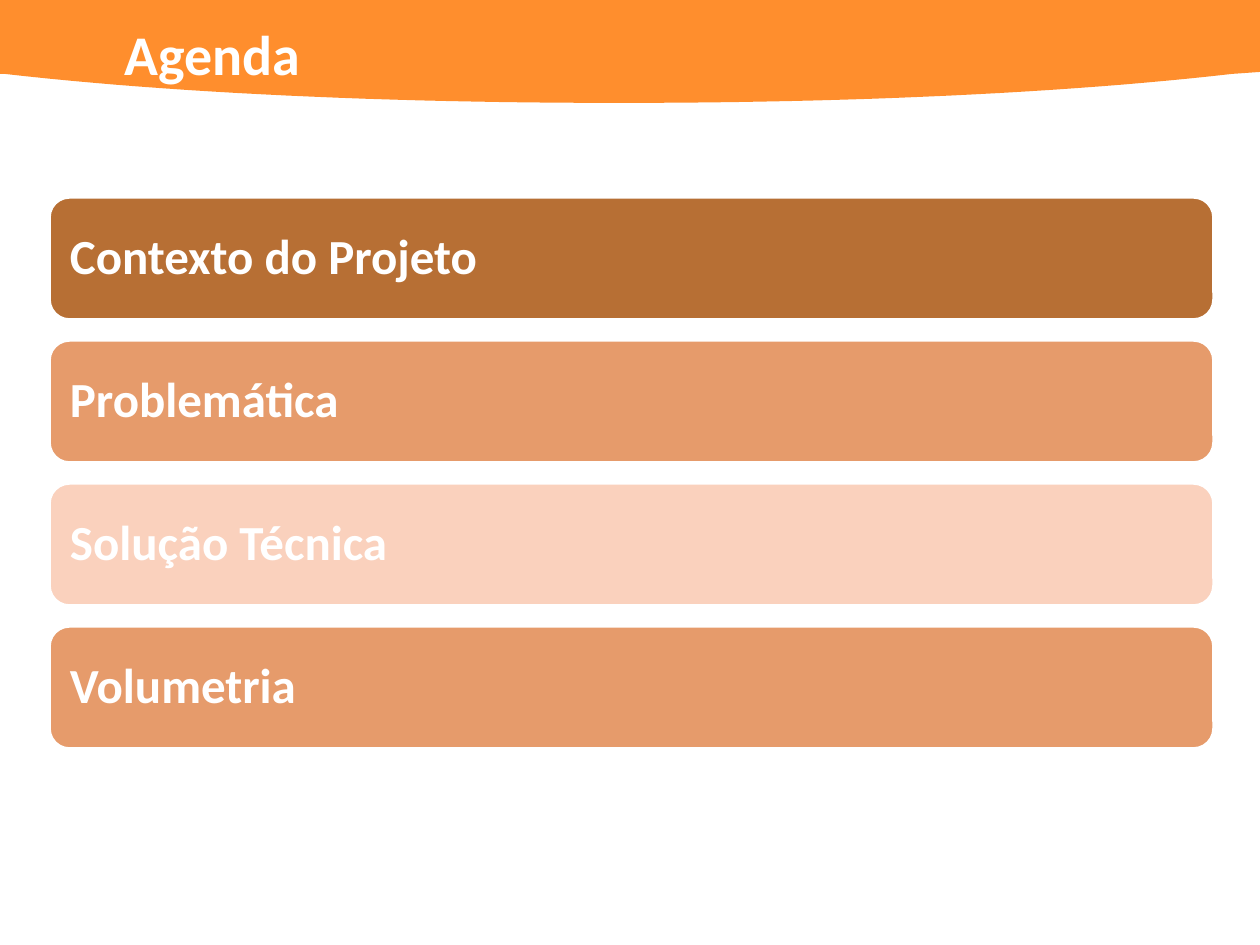
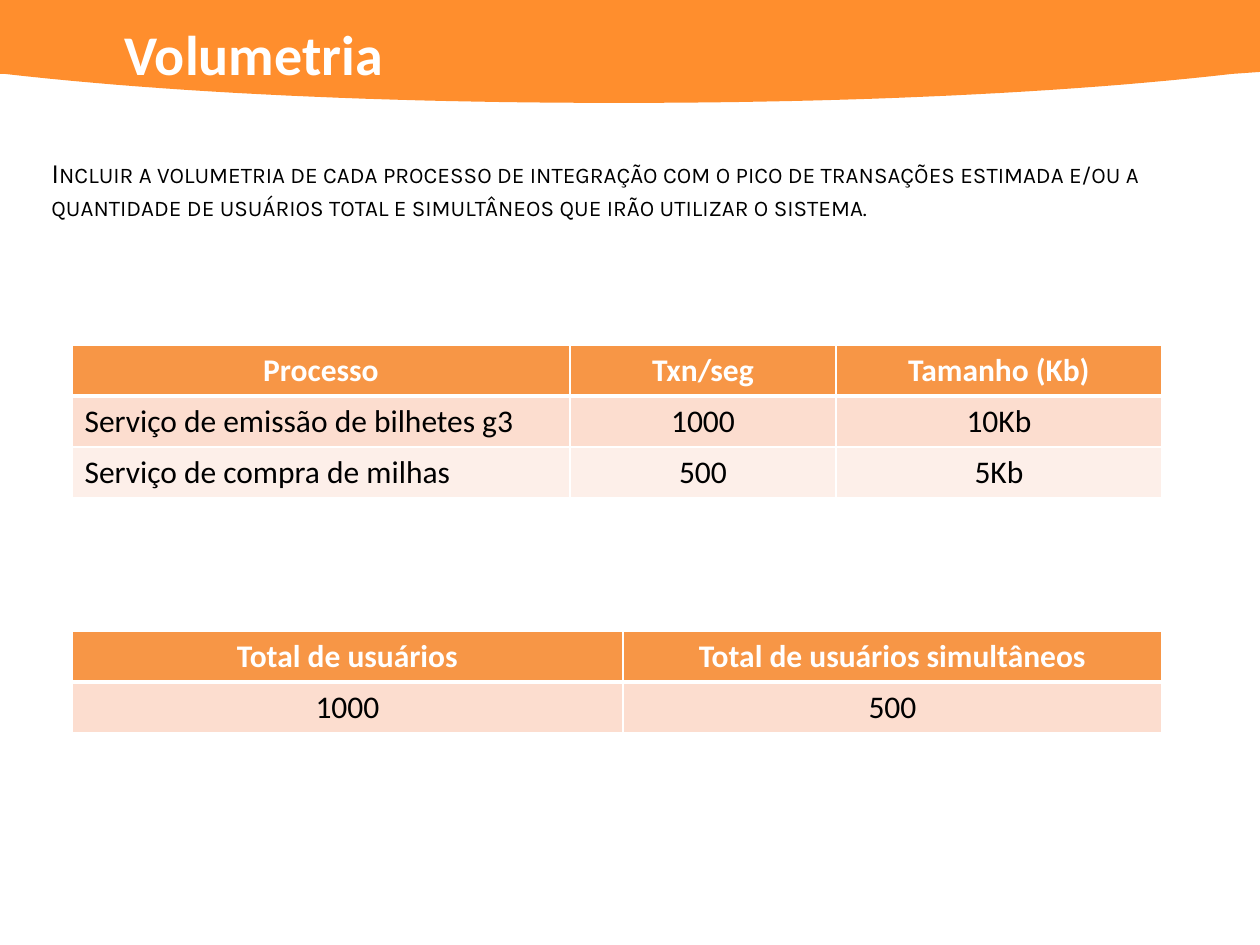
from lxml.etree import SubElement
from pptx import Presentation
from pptx.dml.color import RGBColor
from pptx.enum.shapes import MSO_SHAPE
from pptx.enum.text import MSO_ANCHOR, PP_ALIGN
from pptx.oxml.ns import qn
from pptx.util import Emu, Pt

COLORS = {
    "band": "FF8E2D",
    "dark": "B76F34",
    "medium": "E69B6B",
    "light": "FAD1BD",
    "header": "F79646",
    "odd_row": "FCDDCF",
    "even_row": "FDEFE9",
    "white": "FFFFFF",
    "black": "000000",
}
EMU_PER_PX = 914400 / 126


def px(length):
    return Emu(round(length * EMU_PER_PX))


def add_text(paragraph, text, size, color, bold=False, font="Calibri"):
    run = paragraph.add_run()
    run.text = text
    run.font.name = font
    run.font.size = Pt(size)
    run.font.bold = bold
    run.font.color.rgb = RGBColor.from_string(COLORS[color])
    return run


presentation = Presentation()
presentation.slide_width = px(1260)
presentation.slide_height = px(945)

band_curves = [
    [(1232, 74), (1066, 93), (852, 103), (619, 103)],
    [(619, 103), (386, 103), (171, 93), (5, 74)],
]
band_points = [(1260, 0), (1260, 72)]
for curve in band_curves:
    for step in range(25):
        t = step / 24
        weights = [(1 - t) ** 3, 3 * t * (1 - t) ** 2, 3 * t**2 * (1 - t), t**3]
        band_points.append(
            tuple(sum(w * point[axis] for w, point in zip(weights, curve)) for axis in (0, 1))
        )
band_points.append((0, 74))

slides = []
for title in ["Agenda", "Volumetria"]:
    slide = presentation.slides.add_slide(presentation.slide_layouts[6])
    slides.append(slide)
    builder = slide.shapes.build_freeform(0, 0)
    builder.add_line_segments([(px(x), px(y)) for x, y in band_points], close=True)
    band = builder.convert_to_shape()
    band.shadow.inherit = False
    band.fill.solid()
    band.fill.fore_color.rgb = RGBColor.from_string(COLORS["band"])
    band.line.fill.background()
    title_box = slide.shapes.add_textbox(px(112), px(13), px(680), px(81))
    title_box.text_frame.word_wrap = True
    add_text(title_box.text_frame.paragraphs[0], title, 32, "white", bold=True)

agenda_slide, volume_slide = slides

agenda = [
    ("Contexto do Projeto", "dark"),
    ("Problemática", "medium"),
    ("Solução Técnica", "light"),
    ("Volumetria", "medium"),
]
for index, (topic, color) in enumerate(agenda):
    bar = agenda_slide.shapes.add_shape(
        MSO_SHAPE.ROUNDED_RECTANGLE, px(49), px(197 + 143 * index), px(1165), px(123)
    )
    bar.shadow.inherit = False
    bar.fill.solid()
    bar.fill.fore_color.rgb = RGBColor.from_string(COLORS[color])
    bar.line.color.rgb = RGBColor.from_string(COLORS["white"])
    bar.line.width = Pt(2)
    frame = bar.text_frame
    frame.word_wrap = True
    frame.vertical_anchor = MSO_ANCHOR.MIDDLE
    frame.margin_left = frame.margin_right = px(15)
    paragraph = frame.paragraphs[0]
    paragraph.alignment = PP_ALIGN.LEFT
    paragraph.line_spacing = 0.9
    add_text(paragraph, topic, 28, "white", bold=True)

instruction_box = volume_slide.shapes.add_textbox(px(39), px(149), px(1187), px(107))
instruction_box.text_frame.word_wrap = True
instruction = add_text(
    instruction_box.text_frame.paragraphs[0],
    "Incluir a volumetria de cada processo de integração com o pico de transações estimada "
    "e/ou a quantidade de usuários total e simultâneos que irão utilizar o sistema.",
    16,
    "black",
    font="Karla",
)
instruction.font._element.set("cap", "small")

tables = [
    (345, [498, 266, 326], [
        ["Processo", "Txn/seg", "Tamanho (Kb)"],
        ["Serviço de emissão de bilhetes g3", "1000", "10Kb"],
        ["Serviço de compra de milhas", "500", "5Kb"],
    ]),
    (631, [551, 539], [
        ["Total de usuários", "Total de usuários simultâneos"],
        ["1000", "500"],
    ]),
]
row_fills = ["header", "odd_row", "even_row"]
row_height = 51
for top, widths, rows in tables:
    table = volume_slide.shapes.add_table(
        len(rows), len(widths), px(72), px(top), px(sum(widths)), px(row_height * len(rows))
    ).table
    for column, width in zip(table.columns, widths):
        column.width = px(width)
    for row_index, texts in enumerate(rows):
        table.rows[row_index].height = px(row_height)
        is_header = row_index == 0
        for column_index, text in enumerate(texts):
            cell = table.cell(row_index, column_index)
            paragraph = cell.text_frame.paragraphs[0]
            is_service = text.startswith("Serviço")
            paragraph.alignment = PP_ALIGN.LEFT if is_service else PP_ALIGN.CENTER
            add_text(paragraph, text, 18, "white" if is_header else "black", bold=is_header)
            properties = cell._tc.get_or_add_tcPr()
            for side in "LRTB":
                is_thick = (row_index, side) in [(0, "B"), (1, "T")]
                border = SubElement(properties, qn(f"a:ln{side}"), w=str(Pt(3 if is_thick else 1)))
                border_fill = SubElement(border, qn("a:solidFill"))
                SubElement(border_fill, qn("a:srgbClr"), val=COLORS["white"])
            cell.fill.solid()
            cell.fill.fore_color.rgb = RGBColor.from_string(COLORS[row_fills[row_index]])
            fill_element = properties.find(qn("a:solidFill"))
            properties.append(fill_element)

presentation.save("out.pptx")
